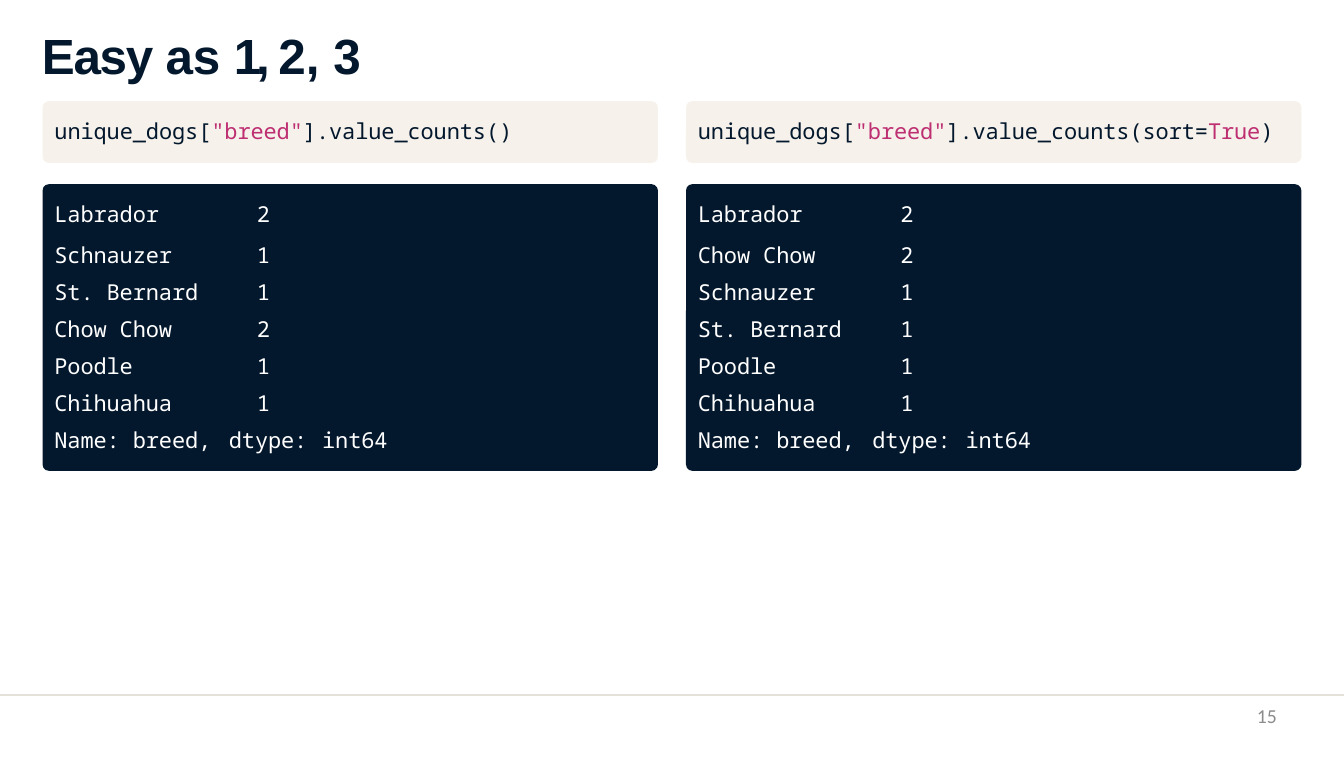
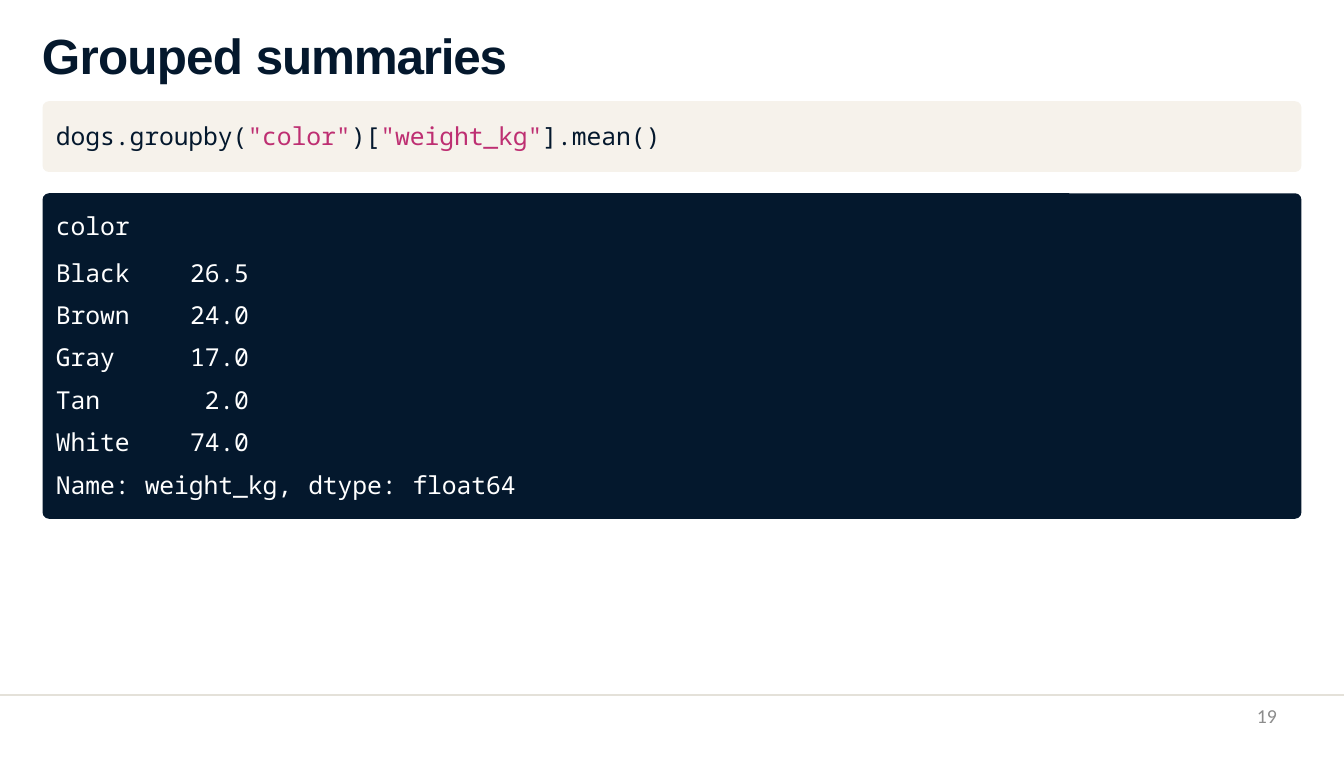
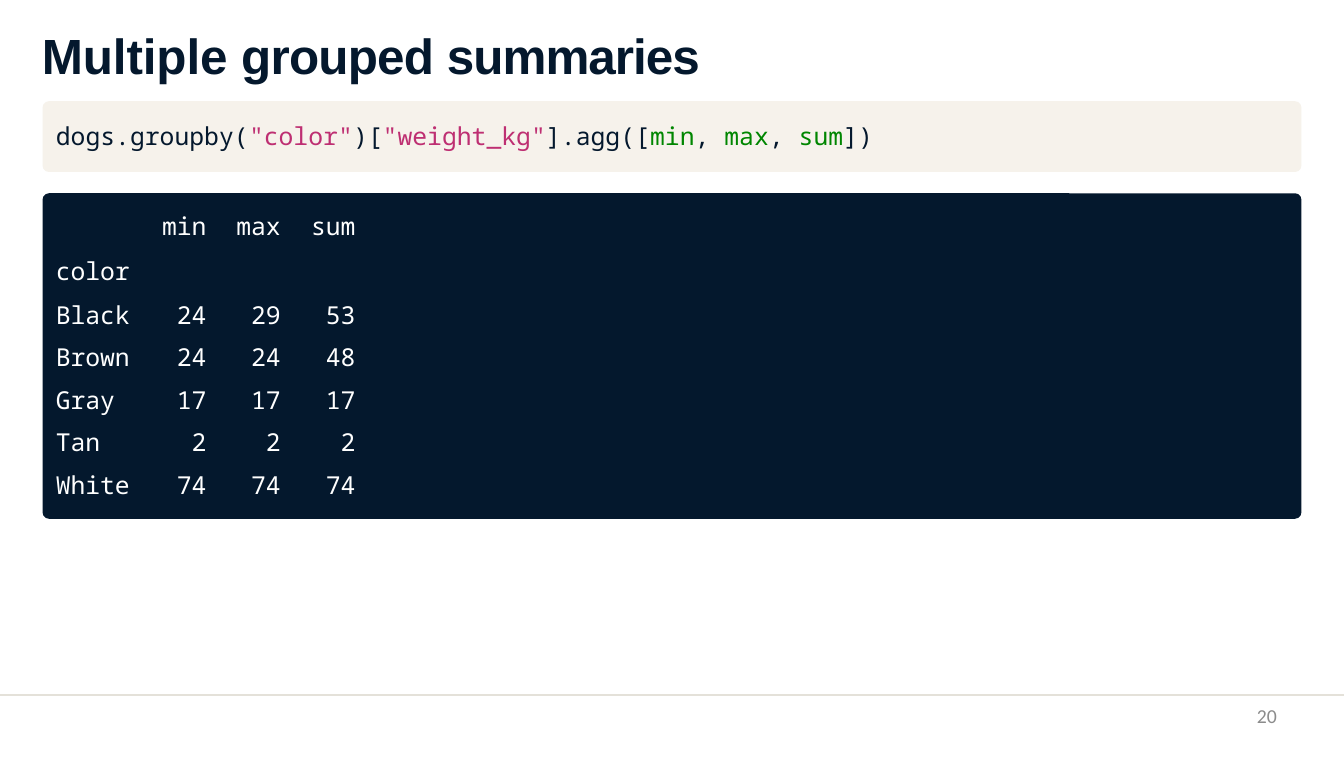
import dataclasses

import pptx
import pptx.dml.color
import pptx.enum.shapes
import pptx.enum.text
import pptx.oxml.ns
import pptx.util
from lxml import etree

Pt = pptx.util.Pt
ALIGN = pptx.enum.text.PP_ALIGN


@dataclasses.dataclass(frozen=True)
class Theme:
    navy: str = "04182D"
    cream: str = "F6F2EB"
    white: str = "FFFFFF"
    string: str = "BE2F72"
    function: str = "008600"
    rule: str = "E4E1D9"
    number: str = "8C8C8C"
    title_font: str = "Arial"
    code_font: str = "Noto Sans Mono"
    number_font: str = "Calibri"
    title_size: float = 45
    number_size: float = 18
    slide_width: float = 1224.72
    slide_height: float = 689.76
    margin: float = 38.8
    gutter: float = 25.6
    panel_top: float = 92.2
    panel_gap: float = 19.4
    corner: float = 5.8

    @property
    def content_width(self):
        return self.slide_width - 2 * self.margin

    @property
    def half_width(self):
        return (self.content_width - self.gutter) / 2


@dataclasses.dataclass(frozen=True)
class CodeScale:
    """Type size of a code listing and the heights that go with it."""
    size: float
    command_height: float
    command_inset: float
    output_height: float
    output_inset: float
    edge_row: float
    row: float
    first_line: float
    row_inset: float

    @property
    def padding(self):
        return self.size * 0.54


@dataclasses.dataclass(frozen=True)
class Column:
    width: float
    align: ALIGN = ALIGN.LEFT
    left: float = 0
    right: float = 0


THEME = Theme()
HALF = CodeScale(20, 56.2, 13.6, 261.2, 17.3, 29.5, 33.7, 23.7, 4.3)
FULL = CodeScale(22.5, 64.5, 16.5, 296.6, 18.7, 33.1, 38.7, 26.4, 5)
LABEL_INSET = 2
SUMMARY_INSET = 6
NO_GRID_STYLE = "{2D5ABB26-0587-4C30-8999-92F81FD0307C}"


def rgb(colour):
    return pptx.dml.color.RGBColor.from_string(colour)


def add_run(paragraph, text, font, size, colour, tracking=0, bold=False):
    run = paragraph.add_run()
    run.text = text
    run.font.name = font
    run.font.size = Pt(size)
    run.font.bold = bold
    run.font.color.rgb = rgb(colour)
    if tracking:
        run.font._element.set("spc", str(round(tracking * 100)))


def add_text_line(slide, left, top, width, height, inset_top=0):
    """Add a text box without side insets and return its paragraph."""
    frame = slide.shapes.add_textbox(Pt(left), Pt(top), Pt(width), Pt(height)).text_frame
    frame.word_wrap = True
    frame.margin_left = frame.margin_right = frame.margin_bottom = 0
    frame.margin_top = Pt(inset_top)
    return frame.paragraphs[0]


def add_panel(slide, left, top, width, height, colour):
    panel = slide.shapes.add_shape(
        pptx.enum.shapes.MSO_SHAPE.ROUNDED_RECTANGLE, Pt(left), Pt(top), Pt(width), Pt(height))
    panel.adjustments[0] = THEME.corner / min(width, height)
    panel.shadow.inherit = False
    panel.fill.solid()
    panel.fill.fore_color.rgb = rgb(colour)
    panel.line.fill.background()


def add_footer(slide, number):
    rule = slide.shapes.add_connector(
        pptx.enum.shapes.MSO_CONNECTOR.STRAIGHT, 0, Pt(633), Pt(THEME.slide_width), Pt(633))
    rule.line.color.rgb = rgb(THEME.rule)
    rule.line.width = Pt(1.5)
    etree.SubElement(rule._element.spPr, pptx.oxml.ns.qn("a:effectLst"))
    paragraph = add_text_line(slide, 882, 641.5, 281.5, 34.5)
    paragraph.alignment = ALIGN.RIGHT
    add_run(paragraph, str(number), THEME.number_font, THEME.number_size, THEME.number)


def start_slide(deck, title, number):
    """Add a slide with its footer and title; the title is (word, tracking) pairs."""
    slide = deck.slides.add_slide(deck.slide_layouts[6])
    add_footer(slide, number)
    paragraph = add_text_line(slide, 38.2, 21.6, 740, 56, 1.4)
    for word, tracking in title:
        add_run(paragraph, word, THEME.title_font, THEME.title_size, THEME.navy, tracking, True)
    return slide


def add_command(slide, left, width, scale, tokens, tracking=-0.1):
    """Add the light panel with one line of code, given as (text, colour) tokens."""
    add_panel(slide, left, THEME.panel_top, width, scale.command_height, THEME.cream)
    paragraph = add_text_line(
        slide, left + scale.padding, THEME.panel_top + scale.command_inset,
        width - scale.padding, scale.size * 1.33, 1.4)
    for text, colour in tokens:
        add_run(paragraph, text, THEME.code_font, scale.size, colour, tracking)


def output_top(scale):
    return THEME.panel_top + scale.command_height + THEME.panel_gap


def add_output_panel(slide, left, width, scale):
    add_panel(slide, left, output_top(scale), width, scale.output_height, THEME.navy)


def fill_cell(cell, text, column, scale, is_header, is_summary):
    cell.fill.background()
    if is_summary and column.align != ALIGN.LEFT:
        column = Column(column.width, left=SUMMARY_INSET)
    cell.margin_left, cell.margin_right = Pt(column.left), Pt(column.right)
    cell.margin_top = Pt(0 if is_header else scale.row_inset)
    cell.margin_bottom = 0
    paragraph = cell.text_frame.paragraphs[0]
    paragraph.alignment = column.align
    if is_header:
        paragraph.line_spacing = Pt(scale.first_line)
    if text:
        add_run(paragraph, text, THEME.code_font, scale.size, THEME.white, -0.1)


def add_output_table(slide, scale, columns, rows, header_height=None):
    """Add printed output; a closing row that starts with Name: is set flush left."""
    heights = [header_height or scale.edge_row, *[scale.row] * (len(rows) - 2), scale.edge_row]
    table = slide.shapes.add_table(
        len(rows), len(columns),
        Pt(THEME.margin + scale.padding - LABEL_INSET),
        Pt(output_top(scale) + scale.output_inset),
        Pt(sum(column.width for column in columns)), Pt(sum(heights))).table
    table.first_row = table.horz_banding = False
    table._tbl.tblPr.find(pptx.oxml.ns.qn("a:tableStyleId")).text = NO_GRID_STYLE
    for column, spec in zip(table.columns, columns):
        column.width = Pt(spec.width)
    for index, (height, texts) in enumerate(zip(heights, rows)):
        table.rows[index].height = Pt(height)
        is_summary = texts[0].startswith("Name:")
        for position, (text, spec) in enumerate(zip(texts, columns)):
            fill_cell(table.cell(index, position), text, spec, scale, index == 0, is_summary)
    return table


def build_value_counts(deck):
    slide = start_slide(
        deck, [("Easy ", -1.2), ("as ", -0.2), ("1, ", -4.8), ("2, ", 0), ("3", -0.5)], 15)
    opening = [("unique_dogs[", THEME.navy), ('"breed"', THEME.string)]
    plain = [("].value_counts()", THEME.navy)]
    by_count = [("].value_counts(sort=", THEME.navy), ("True", THEME.string), (")", THEME.navy)]
    shift = THEME.half_width + THEME.gutter
    for position, ending in enumerate([plain, by_count]):
        left = THEME.margin + position * shift
        add_command(slide, left, THEME.half_width, HALF, opening + ending)
        add_output_panel(slide, left, THEME.half_width, HALF)

    label, count, dtype = 155, 85, 208
    count_column = Column(count, ALIGN.CENTER, right=10)
    right_inset = shift - label - count - dtype + LABEL_INSET
    columns = [
        Column(label, left=LABEL_INSET), count_column, Column(dtype, left=SUMMARY_INSET),
        Column(label + right_inset - LABEL_INSET, left=right_inset), count_column,
        Column(70, left=SUMMARY_INSET)]
    unsorted = [("Labrador", "2"), ("Schnauzer", "1"), ("St. Bernard", "1"),
                ("Chow Chow", "2"), ("Poodle", "1"), ("Chihuahua", "1")]
    by_frequency = sorted(unsorted, key=lambda entry: entry[1], reverse=True)
    rows = [(*first, "", *second, "") for first, second in zip(unsorted, by_frequency)]
    rows.append(("Name: breed,", "dtype:", "int64") * 2)
    add_output_table(slide, HALF, columns, rows)


def add_grouped_command(slide, ending, tracking):
    tokens = [("dogs.groupby(", THEME.navy), ('"color"', THEME.string), (")[", THEME.navy),
              ('"weight_kg"', THEME.string), *ending]
    add_command(slide, THEME.margin, THEME.content_width, FULL, tokens, tracking)
    add_output_panel(slide, THEME.margin, THEME.content_width, FULL)


def build_grouped_mean(deck):
    slide = start_slide(deck, [("Grouped ", -0.7), ("summaries", -1.1)], 19)
    add_grouped_command(slide, [("].mean()", THEME.navy)], -0.1)
    columns = [
        Column(77, left=LABEL_INSET), Column(149, ALIGN.RIGHT, right=48),
        Column(95, left=SUMMARY_INSET), Column(104, left=SUMMARY_INSET)]
    rows = [
        ("color", "", "", ""),
        ("Black", "26.5", "", ""),
        ("Brown", "24.0", "", ""),
        ("Gray", "17.0", "", ""),
        ("Tan", "2.0", "", ""),
        ("White", "74.0", "", ""),
        ("Name:", "weight_kg,", "dtype:", "float64")]
    add_output_table(slide, FULL, columns, rows)


def build_grouped_aggregates(deck):
    slide = start_slide(deck, [("Multiple ", -0.1), ("grouped ", -0.7), ("summaries", -0.9)], 20)
    ending = [
        ("].agg([", THEME.navy), ("min", THEME.function), (", ", THEME.navy),
        ("max", THEME.function), (", ", THEME.navy), ("sum", THEME.function),
        ("])", THEME.navy)]
    add_grouped_command(slide, ending, 0)
    columns = [
        Column(83.5, left=LABEL_INSET), Column(67.7, ALIGN.RIGHT, right=12),
        Column(67.7, ALIGN.RIGHT, right=12), Column(57, ALIGN.RIGHT, right=1)]
    rows = [
        ("color", "min", "max", "sum"),
        ("Black", "24", "29", "53"),
        ("Brown", "24", "24", "48"),
        ("Gray", "17", "17", "17"),
        ("Tan", "2", "2", "2"),
        ("White", "74", "74", "74")]
    table = add_output_table(slide, FULL, columns, rows, FULL.edge_row + FULL.row)
    # The index name sits one line below the column names.
    table.cell(0, 0).margin_top = Pt(41)


def main():
    deck = pptx.Presentation()
    deck.slide_width = Pt(THEME.slide_width)
    deck.slide_height = Pt(THEME.slide_height)
    build_value_counts(deck)
    build_grouped_mean(deck)
    build_grouped_aggregates(deck)
    deck.save("out.pptx")


if __name__ == "__main__":
    main()
